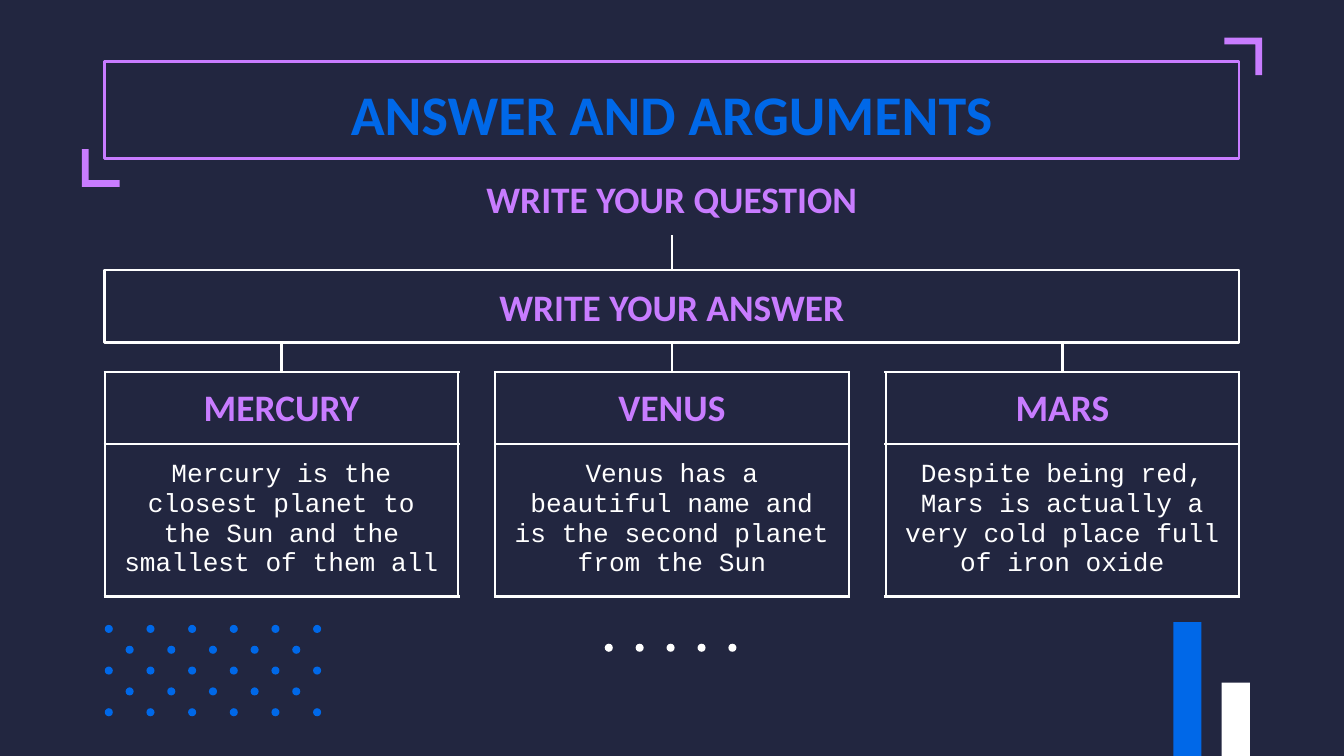
from lxml.etree import SubElement
from pptx import Presentation
from pptx.dml.color import RGBColor
from pptx.enum.shapes import MSO_CONNECTOR, MSO_SHAPE
from pptx.enum.text import MSO_ANCHOR, MSO_AUTO_SIZE, PP_ALIGN
from pptx.oxml import parse_xml
from pptx.oxml.ns import nsdecls, qn
from pptx.util import Inches, Pt

NAVY, BLUE, PURPLE, WHITE = "222640", "0068E8", "C87CFF", "FFFFFF"
HEIGHT = 10 * 9 / 16
MARGIN, CONTENT = 0.78, 8.44
CARD, CARD_TOP, CARD_HEIGHT = 2.63, 2.77, 1.67
PITCH = (CONTENT - CARD) / 2
ANSWER_TOP, BAND = 2.01, 0.54
DOT, DOT_STEP = 0.06, 0.155

deck = Presentation()
deck.slide_width, deck.slide_height = Inches(10), Inches(HEIGHT)
page = deck.slides.add_slide(deck.slide_layouts[5])
page.background.fill.solid()
page.background.fill.fore_color.rgb = RGBColor.from_string(NAVY)


def write(holder, frame, text, size, color, font="Calibri", anchor=MSO_ANCHOR.MIDDLE):
    holder.margin_left = holder.margin_right = Inches(0.1)
    holder.margin_top = holder.margin_bottom = Inches(0.1)
    holder.vertical_anchor = anchor
    frame.word_wrap = True
    frame.text = text
    para = frame.paragraphs[0]
    para.alignment = PP_ALIGN.CENTER
    span = para.runs[0]
    span.font.name, span.font.size = font, Pt(size)
    span.font.bold = font == "Calibri"
    span.font.color.rgb = RGBColor.from_string(color)


def add_block(kind, left, top, width, height, fill=None, line=None):
    block = page.shapes.add_shape(kind, Inches(left), Inches(top), Inches(width), Inches(height))
    block.shadow.inherit = False
    if fill:
        block.fill.solid()
        block.fill.fore_color.rgb = RGBColor.from_string(fill)
    else:
        block.fill.background()
    if line:
        block.line.color.rgb = RGBColor.from_string(line)
        block.line.width = Pt(1.5)
    else:
        block.line.fill.background()
    return block


for left, top, color in [(8.73, 4.63, BLUE), (9.09, 5.08, WHITE)]:
    add_block(MSO_SHAPE.RECTANGLE, left, top, 0.21, HEIGHT - top, fill=color)

for row in range(5):
    for column in range(row % 2, 11, 2):
        add_block(MSO_SHAPE.OVAL, MARGIN + column * DOT_STEP, 4.65 + row * DOT_STEP, DOT, DOT, fill=BLUE)

title = page.shapes.title
title.left, title.top, title.width, title.height = [Inches(n) for n in (MARGIN, 0.49, CONTENT, 1.13)]
write(title.text_frame, title.text_frame, "ANSWER AND ARGUMENTS", 30, BLUE, anchor=MSO_ANCHOR.TOP)
title.text_frame.auto_size = MSO_AUTO_SIZE.NONE

question = page.shapes.add_textbox(Inches(MARGIN), Inches(1.21), Inches(CONTENT), Inches(BAND))
write(question.text_frame, question.text_frame, "WRITE YOUR QUESTION", 20, PURPLE)
answer = add_block(MSO_SHAPE.RECTANGLE, MARGIN, ANSWER_TOP, CONTENT, BAND, line=WHITE)
write(answer.text_frame, answer.text_frame, "WRITE YOUR ANSWER", 20, PURPLE)

cards = [
    ("MERCURY", "Mercury is the closest planet to the Sun and the smallest of them all", 0.39, 1.01),
    ("VENUS", "Venus has a beautiful name and is the second planet from the Sun", 0.42, 1.01),
    ("MARS", "Despite being red, Mars is actually a very cold place full of iron oxide", 0.53, 1.13),
]
for index, (planet, fact, head_height, fact_height) in enumerate(cards):
    left = Inches(MARGIN + index * PITCH)
    card = page.shapes.add_table(2, 1, left, Inches(CARD_TOP), Inches(CARD), Inches(CARD_HEIGHT))
    table = card.table
    table.first_row = table.horz_banding = False
    table.rows[0].height, table.rows[1].height = Inches(head_height), Inches(fact_height)
    card.height = Inches(CARD_HEIGHT)
    head, body = table.cell(0, 0), table.cell(1, 0)
    write(head, head.text_frame, planet, 20, PURPLE)
    write(body, body.text_frame, fact, 14, WHITE, font="Courier New")
    for cell in (head, body):
        cell.fill.background()
        for position, side in enumerate(("lnL", "lnR", "lnT", "lnB")):
            border = parse_xml(
                f'<a:{side} {nsdecls("a")} w="{Pt(1.5)}"><a:solidFill>'
                f'<a:srgbClr val="{WHITE}"/></a:solidFill></a:{side}>'
            )
            cell._tc.get_or_add_tcPr().insert(position, border)

joins = [(5, 1.75, ANSWER_TOP)]
for index in (1, 0, 2):
    joins.append((MARGIN + index * PITCH + CARD / 2, ANSWER_TOP + BAND, CARD_TOP))
for order, (x, top, bottom) in enumerate(joins):
    join = page.shapes.add_connector(
        MSO_CONNECTOR.STRAIGHT, Inches(x), Inches(top), Inches(x), Inches(bottom)
    )
    join.line.color.rgb = RGBColor.from_string(WHITE)
    join.line.width = Pt(1.5)
    SubElement(join._element.spPr, qn("a:effectLst"))
    if order == 0:
        join.begin_connect(question, 2)
        join.end_connect(answer, 0)
    elif order == 1:
        join.begin_connect(answer, 2)

for column in range(5):
    add_block(MSO_SHAPE.OVAL, 4.5 + column * 0.23, 4.79, DOT, DOT, fill=WHITE)

add_block(MSO_SHAPE.RECTANGLE, MARGIN, 0.46, CONTENT, 0.72, line=PURPLE)
arm, thick = 0.28, 0.05
outline = [(0, arm), (arm, arm), (arm, arm - thick), (thick, arm - thick), (thick, 0)]
for left, top, turn in [(0.61, 1.11, 0), (9.11, 0.28, 180)]:
    builder = page.shapes.build_freeform(Inches(left), Inches(top))
    builder.add_line_segments([(Inches(left + x), Inches(top + y)) for x, y in outline])
    bracket = builder.convert_to_shape()
    bracket.rotation = turn
    bracket.shadow.inherit = False
    bracket.fill.solid()
    bracket.fill.fore_color.rgb = RGBColor.from_string(PURPLE)
    bracket.line.fill.background()

deck.save("out.pptx")
